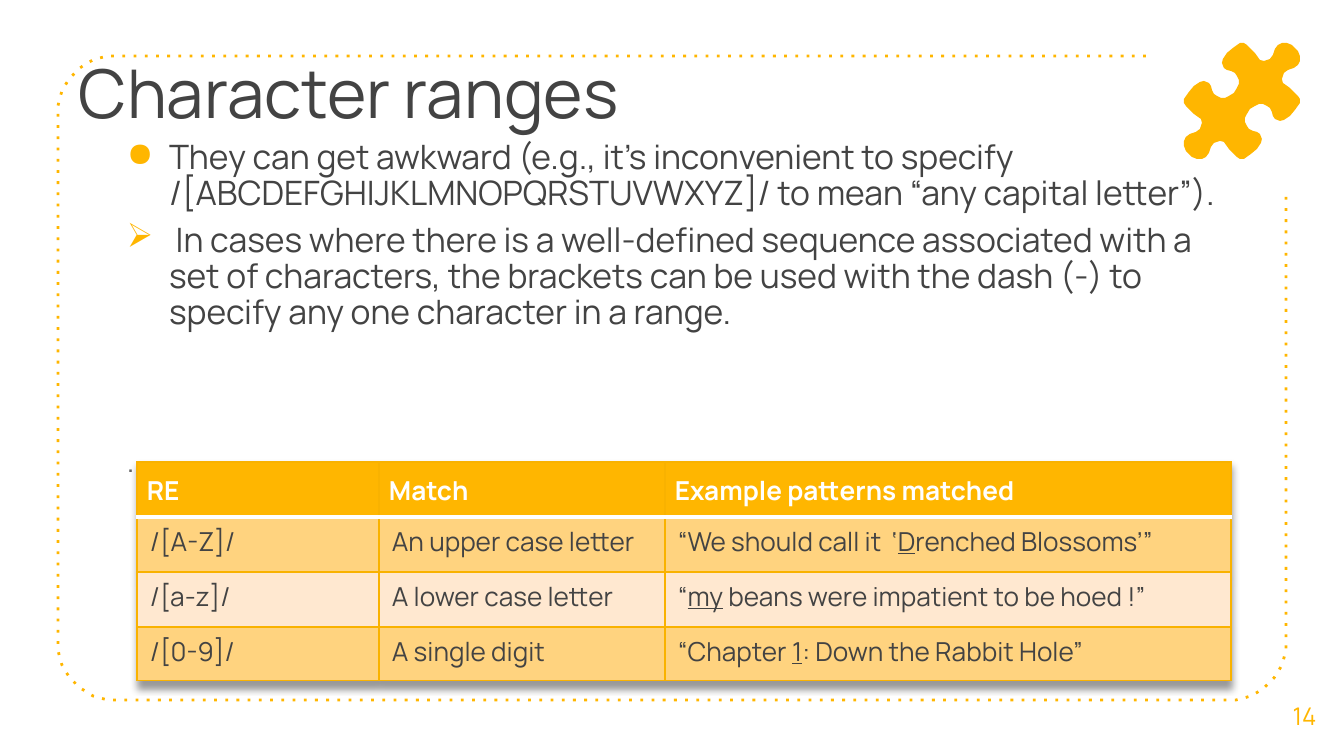
from dataclasses import dataclass
from math import cos, radians, sin

from lxml.etree import SubElement
from pptx import Presentation
from pptx.dml.color import RGBColor
from pptx.enum.text import MSO_ANCHOR as Anchor, PP_ALIGN as Align
from pptx.oxml import parse_xml
from pptx.oxml.ns import nsdecls, qn
from pptx.util import Emu, Pt

PX = 914400 / 134.4


def px(length):
    return Emu(round(length * PX))


@dataclass(frozen=True)
class Theme:
    font: str = "Manrope"
    accent: str = "FFB600"
    border: str = "F9B200"
    ink: str = "434343"
    grey: str = "666666"
    white: str = "FFFFFF"
    band_dark: str = "FFD37F"
    band_light: str = "FFE8D0"
    title: int = 36
    body: int = 18
    small: int = 16
    cell: int = 14
    number: int = 13


THEME = Theme()


def write(para, text, size=THEME.body, color=THEME.ink, bold=False, underline=False):
    """Add one formatted span to a paragraph."""
    span = para.add_run()
    span.text = text
    font = span.font
    font.name, font.size, font.bold = THEME.font, Pt(size), bold
    font.underline = underline or None
    font.color.rgb = RGBColor.from_string(color)


def add_bullet(para, symbol, indent):
    props = para._p.get_or_add_pPr()
    props.set("marL", str(px(indent)))
    props.set("indent", str(-px(indent)))
    color = SubElement(props, qn("a:buClr"))
    SubElement(color, qn("a:srgbClr")).set("val", THEME.accent)
    SubElement(props, qn("a:buChar")).set("char", symbol)


def set_borders(cell, **sides):
    """Sides L, R, T, B each take (color, points)."""
    props = cell._tc.get_or_add_tcPr()
    for index, side in enumerate("LRTB"):
        color, width = sides[side]
        props.insert(index, parse_xml(
            f'<a:ln{side} {nsdecls("a")} w="{Pt(width)}"><a:solidFill>'
            f'<a:srgbClr val="{color}"/></a:solidFill></a:ln{side}>'))


class Painter:
    def __init__(self, page, theme):
        self.page, self.theme = page, theme

    def outline(self, points, fill=None, dots=None):
        builder = self.page.shapes.build_freeform(*points[0], scale=PX)
        builder.add_line_segments(points[1:], close=fill is not None)
        shape = builder.convert_to_shape()
        shape.shadow.inherit = False
        if fill:
            shape.fill.solid()
            shape.fill.fore_color.rgb = RGBColor.from_string(fill)
            shape.line.fill.background()
        else:
            shape.fill.background()
            shape.line.color.rgb = RGBColor.from_string(dots)
            shape.line.width = Pt(1.5)
            line = shape.element.spPr.find(qn("a:ln"))
            SubElement(line, qn("a:prstDash")).set("val", "dot")

    def text_box(self, left, top, width, height, anchor=Anchor.TOP):
        box = self.page.shapes.add_textbox(px(left), px(top), px(width), px(height))
        frame = box.text_frame
        frame.word_wrap = True
        frame.vertical_anchor = anchor
        frame.margin_left = frame.margin_right = px(13)
        frame.margin_top = frame.margin_bottom = px(13)
        return frame

    def table(self, left, top, widths, heights, rows):
        theme = self.theme
        table = self.page.shapes.add_table(
            len(rows), len(widths), px(left), px(top),
            px(sum(widths)), px(sum(heights))).table
        table.horz_banding = False
        for column, width in zip(table.columns, widths):
            column.width = px(width)
        for row, height in zip(table.rows, heights):
            row.height = px(height)
        table._tbl.tblPr.insert(0, parse_xml(
            f'<a:effectLst {nsdecls("a")}><a:outerShdw blurRad="50800" dist="38100" '
            'dir="5400000" rotWithShape="0"><a:srgbClr val="000000">'
            '<a:alpha val="40000"/></a:srgbClr></a:outerShdw></a:effectLst>'))
        for r, row in enumerate(rows):
            for c, spans in enumerate(row):
                self.table_cell(table.cell(r, c), r, spans)

    def table_cell(self, cell, row, spans):
        theme = self.theme
        header = row == 0
        para = cell.text_frame.paragraphs[0]
        if header:
            fill = theme.accent
            cell.vertical_anchor = Anchor.MIDDLE
            cell.margin_top = cell.margin_bottom = 0
            para.line_spacing = 1.07
        else:
            fill = theme.band_dark if row % 2 else theme.band_light
        cell.margin_left = cell.margin_right = px(10 if header else 13)
        cell.fill.solid()
        cell.fill.fore_color.rgb = RGBColor.from_string(fill)
        thin, thick = (theme.border, 0.75), (theme.white, 2)
        set_borders(cell, L=thin, R=thin, T=thick if row == 1 else thin,
                    B=thick if header else thin)
        # Every second span is the underlined match
        for index, text in enumerate(spans):
            write(para, text, size=theme.cell, bold=header, underline=index % 2 == 1,
                  color=theme.white if header else theme.ink)


def corner(x, y, radius, start, end):
    """Points of a round corner about (x, y), between two angles."""
    steps = 12
    angles = [radians(start + (end - start) * i / steps) for i in range(steps + 1)]
    return [(x + radius * cos(a), y + radius * sin(a)) for a in angles]


def puzzle_piece(x, y):
    """A quarter outline, mirrored on the diagonal and then turned by half."""
    quarter = [
        (-8, -8), (-13, -5), (-17, -3), (-21, -3), (-25, -5), (-28, -7), (-30, -11),
        (-31, -15), (-33, -18), (-38, -20), (-42, -19), (-48, -15), (-53, -9),
        (-58, -2), (-58, 2), (-56, 5), (-48, 13), (-41, 18), (-40, 22), (-42, 28),
        (-46, 31), (-52, 33), (-56, 36), (-58, 40), (-58, 45), (-56, 50), (-53, 53)]
    half = quarter + [(-dy, -dx) for dx, dy in reversed(quarter[:-1])]
    return [(x + turn * dx, y + turn * dy) for turn in (1, -1) for dx, dy in half]


def main():
    deck = Presentation()
    deck.slide_width, deck.slide_height = px(1344), px(756)
    page = deck.slides.add_slide(deck.slide_layouts[6])
    painter = Painter(page, THEME)

    # Dotted frame, open at the top right
    painter.outline(
        [(1146, 56)] + corner(115, 113, 57, 270, 180) + corner(115, 643, 57, 180, 90)
        + corner(1229, 643, 57, 90, 0) + [(1286, 196)], dots=THEME.accent)

    # Body text
    body = painter.text_box(114, 128, 1125, 384)
    bullets = [
        ("●", "They can get awkward (e.g., it’s inconvenient to specify "
              "/[ABCDEFGHIJKLMNOPQRSTUVWXYZ]/ to mean “any capital letter”)."),
        ("➢", " In cases where there is a well-defined sequence associated with a set "
              "of characters, the brackets can be used with the dash (-) to specify "
              "any one character in a range.")]
    for index, (symbol, text) in enumerate(bullets):
        para = body.add_paragraph() if index else body.paragraphs[0]
        para.line_spacing = 0.89
        if index:
            para.space_before = Pt(6)
        add_bullet(para, symbol, 42)
        write(para, text)
    para = body.add_paragraph()
    para.line_spacing = 0.89
    para.space_before = Pt(62)
    write(para, ".", size=THEME.small, color=THEME.grey)

    # Title
    title = painter.text_box(66, 38, 1009, 126)
    write(title.paragraphs[0], "Character ranges", size=THEME.title)

    # Slide number
    number = painter.text_box(1265, 675, 79, 81, anchor=Anchor.MIDDLE)
    number.paragraphs[0].alignment = Align.CENTER
    write(number.paragraphs[0], "14", size=THEME.number, color=THEME.accent)

    painter.outline(puzzle_piece(1242, 101), fill=THEME.accent)

    # Table of ranges
    painter.table(137, 462, [242, 286, 566], [55, 55, 55, 54], [
        [["RE"], ["Match"], ["Example patterns matched"]],
        [["/[A-Z]/"], ["An upper case letter"],
         ["“We should call it  ‘", "D", "renched Blossoms’”"]],
        [["/[a-z]/"], ["A lower case letter"],
         ["“", "my", " beans were impatient to be hoed !”"]],
        [["/[0-9]/"], ["A single digit"],
         ["“Chapter ", "1", ": Down the Rabbit Hole”"]]])

    deck.save("out.pptx")


if __name__ == "__main__":
    main()
